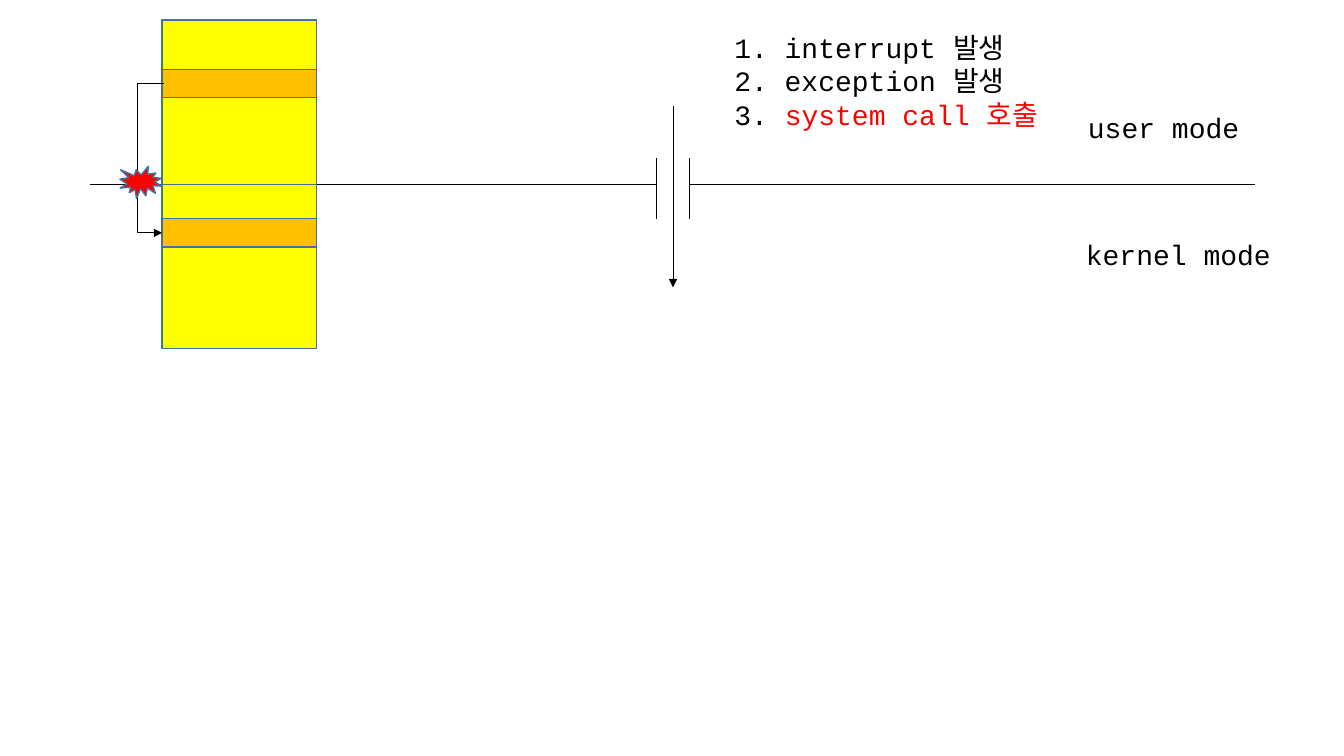
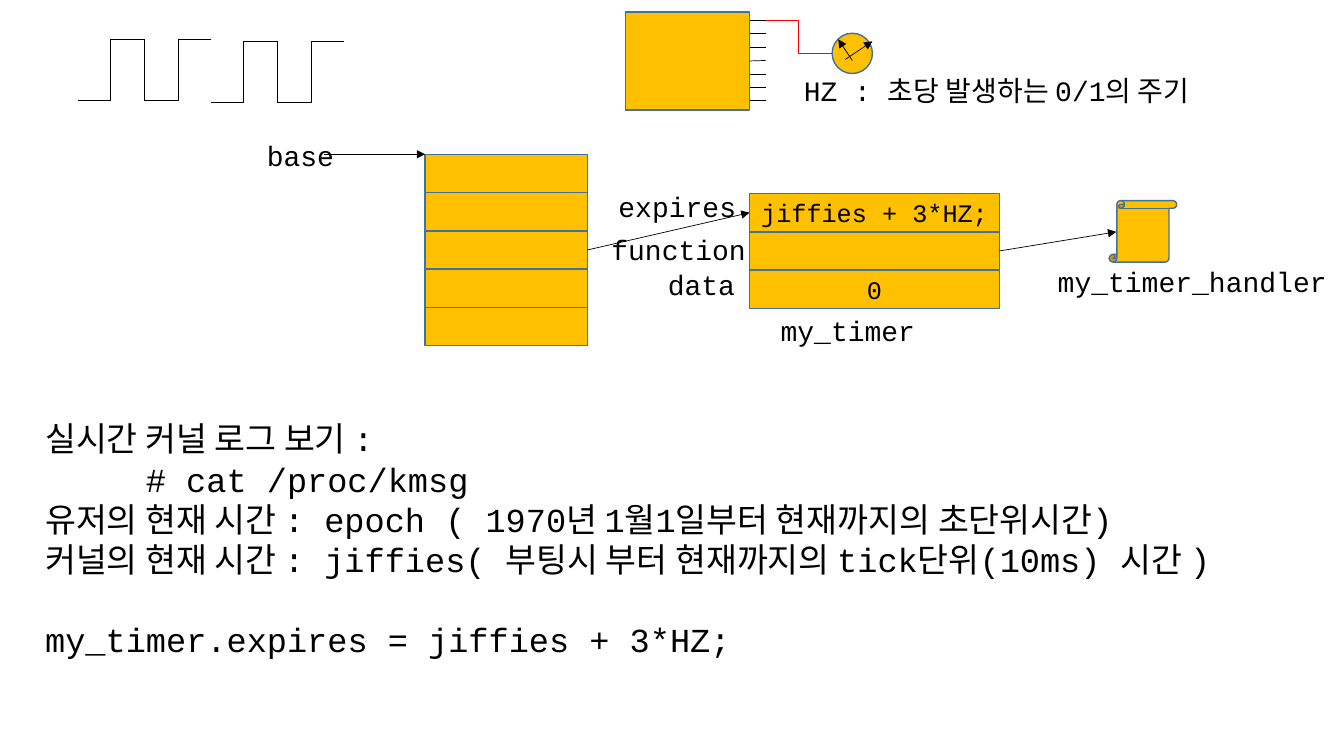
import lxml.etree
import pptx
import pptx.dml.color
import pptx.enum.shapes
import pptx.enum.text
import pptx.oxml.ns
import pptx.util

SHAPE = pptx.enum.shapes.MSO_SHAPE
LINE = pptx.enum.shapes.MSO_CONNECTOR
ALIGN = pptx.enum.text.PP_ALIGN
ANCHOR = pptx.enum.text.MSO_ANCHOR
FIT = pptx.enum.text.MSO_AUTO_SIZE

COLORS = {"ink": "000000", "edge": "41719C", "memory": "FFFF00",
          "amber": "FFC000", "red": "FF0000"}
COLUMNS, ROWS = 133.4, 75
TOP, LEFT, BOTTOM, RIGHT = range(4)


class Sketch:
    """Holds the deck, its style and the slide being drawn."""

    FONT = "Courier New"
    LABEL_FRAME = {"word_wrap": False, "auto_size": FIT.SHAPE_TO_FIT_TEXT}
    CELL_FRAME = {"word_wrap": True, "vertical_anchor": ANCHOR.MIDDLE}

    def __init__(self):
        self.deck = pptx.Presentation()
        self.deck.slide_width = pptx.util.Inches(13.34)
        self.deck.slide_height = pptx.util.Inches(7.5)
        self.slide = None

    def new_slide(self):
        self.slide = self.deck.slides.add_slide(self.deck.slide_layouts[6])

    def x(self, columns):
        return round(self.deck.slide_width * columns / COLUMNS)

    def y(self, rows):
        return round(self.deck.slide_height * rows / ROWS)

    def place(self, left, top, width, height):
        return self.x(left), self.y(top), self.x(width), self.y(height)

    def color(self, name):
        return pptx.dml.color.RGBColor.from_string(COLORS[name])

    def outline(self, item, color, width):
        item.line.color.rgb = self.color(color)
        item.line.width = pptx.util.Pt(width)

    def add_span(self, para, text, size, color="ink"):
        span = para.add_run()
        span.text = text
        style = {"name": self.FONT, "size": pptx.util.Pt(size)}
        for name, value in style.items():
            setattr(span.font, name, value)
        span.font.color.rgb = self.color(color)

    def label(self, place, lines, size=20):
        """Each line is a list of (text, color) spans; returns the paragraphs."""
        frame = self.slide.shapes.add_textbox(*self.place(*place)).text_frame
        for name, value in self.LABEL_FRAME.items():
            setattr(frame, name, value)
        for index, spans in enumerate(lines):
            para = frame.add_paragraph() if index else frame.paragraphs[0]
            for text, color in spans:
                self.add_span(para, text, size, color)
        return frame.paragraphs

    def box(self, place, fill, kind=SHAPE.RECTANGLE, text=""):
        box = self.slide.shapes.add_shape(kind, *self.place(*place))
        box.shadow.inherit = False
        box.fill.solid()
        box.fill.fore_color.rgb = self.color(fill)
        self.outline(box, "edge", 1)
        if text:
            for name, value in self.CELL_FRAME.items():
                setattr(box.text_frame, name, value)
            para = box.text_frame.paragraphs[0]
            para.alignment = ALIGN.CENTER
            self.add_span(para, text, 18)
        return box

    def stack(self, left, top, width, height, fill, texts):
        """Equal cells, one under another."""
        return [self.box((left, top + index * height, width, height), fill, text=text)
                for index, text in enumerate(texts)]

    def wire(self, begin, end, color="ink", arrow=False, kind=LINE.STRAIGHT,
             begin_at=None, end_at=None, bend=None):
        """Begin and end are (column, row); the _at pairs are (box, side)."""
        wire = self.slide.shapes.add_connector(
            kind, self.x(begin[0]), self.y(begin[1]), self.x(end[0]), self.y(end[1]))
        if begin_at:
            wire.begin_connect(*begin_at)
        if end_at:
            wire.end_connect(*end_at)
        self.outline(wire, color, 0.5)
        qn = pptx.oxml.ns.qn
        if arrow:
            lxml.etree.SubElement(wire.get_or_add_ln(), qn("a:tailEnd"), type="triangle")
        if bend is not None:
            guides = wire._element.spPr.find(qn("a:prstGeom")).find(qn("a:avLst"))
            lxml.etree.SubElement(guides, qn("a:gd"), name="adj1",
                                  fmla=f"val {round(bend * 100000)}")
        lxml.etree.SubElement(wire._element.spPr, qn("a:effectLst"))


def plain(*lines):
    return [[(line, "ink")] for line in lines]


def draw_modes(sketch):
    sketch.new_slide()
    border = 18.3

    # Border between the modes, left part
    sketch.wire((8.9, border), (65.2, border))
    sketch.label((107, 10.5, 17.1, 4.4), plain("user mode"))
    sketch.label((106.8, 23.1, 20.4, 4.4), plain("kernel mode"))

    # Memory with the two code areas
    sketch.stack(16.1, 2, 15.3, 16.3, "memory", ["", ""])
    for top in (21.7, 6.9):
        sketch.box((16.1, top, 15.3, 2.8), "amber")
    sketch.wire((16.3, 8.3), (16.1, 23.1), arrow=True, kind=LINE.ELBOW, bend=13.5)
    sketch.box((11.9, 16.5, 4.2, 3.2), "red", SHAPE.EXPLOSION1)

    # Gate through the border
    sketch.wire((68.4, border), (124.6, border))
    for post in (65.2, 68.4):
        sketch.wire((post, 15.7), (post, 21.7))
    sketch.wire((66.8, 10.5), (66.8, 28.5), arrow=True)
    sketch.label((71.9, 2.5, 34.3, 11),
                 plain("1. interrupt 발생", "2. exception 발생")
                 + [[("3. ", "ink"), ("system call 호출", "red")]])


def draw_timer(sketch):
    sketch.new_slide()

    # Notes on time
    notes = sketch.label((3.5, 41, 129.5, 25), plain(
        "실시간 커널 로그 보기 :",
        "# cat /proc/kmsg",
        "유저의 현재 시간 : epoch ( 1970년 1월1일부터 현재까지의 초단위시간)",
        "커널의 현재 시간 : jiffies( 부팅시 부터 현재까지의 tick단위(10ms) 시간 )",
        "my_timer.expires = jiffies + 3*HZ;"), size=24)
    notes[1]._p.get_or_add_pPr().set("marL", str(sketch.x(10)))
    notes[-1].space_before = pptx.util.Pt(28)

    # Chip with its pins
    chip = sketch.box((62.1, 1.2, 12.3, 9.7), "amber")
    pins = 7
    for index in range(pins):
        row = 2 + index * 8 / (pins - 1)
        middle = (chip, RIGHT) if index == pins // 2 else None
        sketch.wire((74.4, row), (76, row), begin_at=middle)

    # Clock
    sketch.box((82.6, 3.3, 4, 4), "amber", SHAPE.OVAL)
    sketch.wire((84.6, 6), (83.2, 3.9), arrow=True)
    sketch.wire((83.9, 5.9), (86.6, 4.1), arrow=True)
    sketch.wire((82.6, 5.3), (76, 2), "red", kind=LINE.ELBOW)
    sketch.label((78.8, 6.8, 44.6, 4.4), plain("HZ : 초당 발생하는 0/1의 주기"))

    # Square waves
    for left, top in ((7.7, 3.9), (20.9, 4.1)):
        for start in (left, left + 6.7):
            sketch.wire((start + 6.6, top), (start, top + 6.1), kind=LINE.ELBOW)
        sketch.wire((left + 6.6, top), (left + 6.6, top + 6.1))

    # Timer list and the timer record
    slots = sketch.stack(42.2, 15.3, 16.1, 3.8, "amber", [""] * 5)
    sketch.wire((32.2, 15.3), (42.2, 15.3), arrow=True)
    fields = sketch.stack(74.4, 19.2, 24.8, 3.8, "amber", ["jiffies + 3*HZ;", "", "0"])
    sketch.wire((58.3, 24.8), (74.4, 21.1), arrow=True,
                begin_at=(slots[2], RIGHT), end_at=(fields[0], LEFT))

    # Handler
    sketch.box((110.1, 19.9, 6.7, 6.1), "amber", SHAPE.VERTICAL_SCROLL)
    sketch.wire((99.2, 24.9), (110.8, 23), arrow=True, begin_at=(fields[1], RIGHT))

    # Names
    for text, left, top, width in (
            ("base", 25.5, 13.3, 8.7), ("my_timer", 76.5, 30.6, 15.4),
            ("function", 59.7, 22.6, 15.4), ("expires", 60.4, 18.3, 13.7),
            ("my_timer_handler", 104, 25.7, 28.8), ("data", 65.3, 26, 8.7)):
        sketch.label((left, top, width, 4.4), plain(text))


def main():
    sketch = Sketch()
    draw_modes(sketch)
    draw_timer(sketch)
    sketch.deck.save("out.pptx")


if __name__ == "__main__":
    main()
